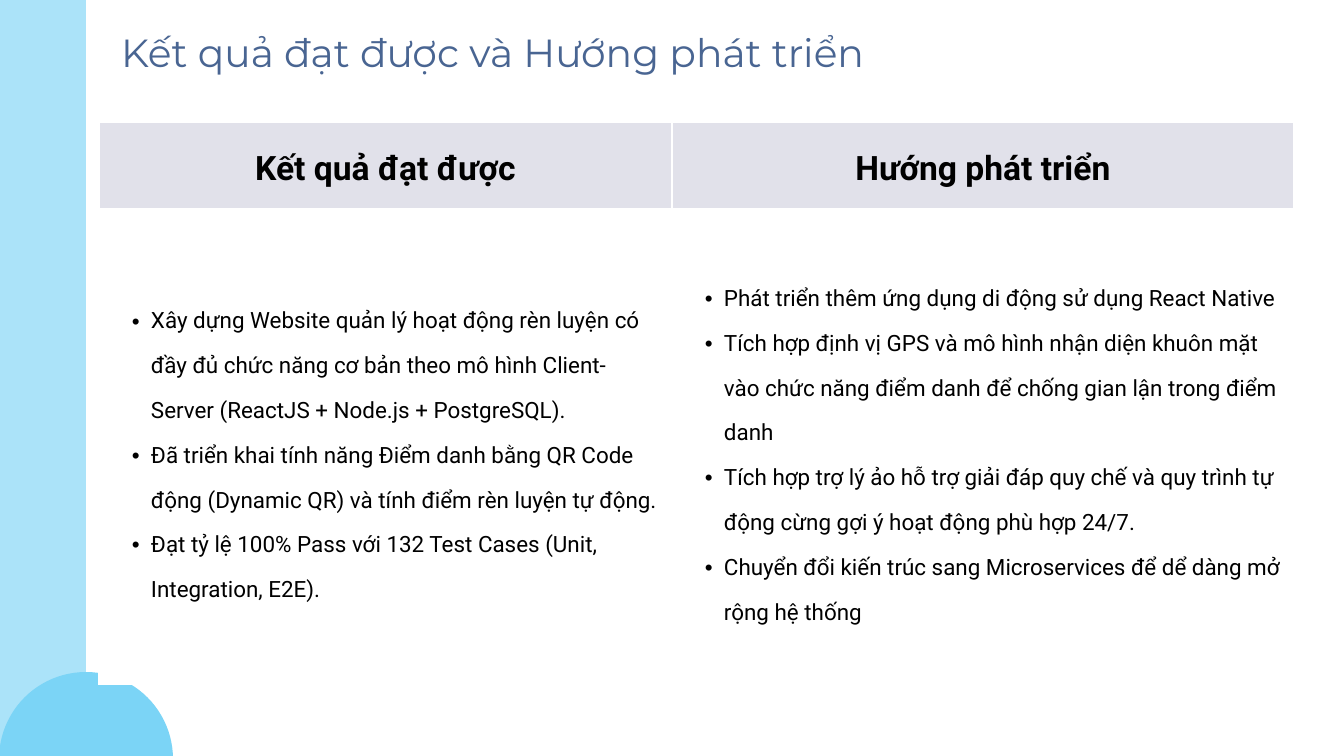
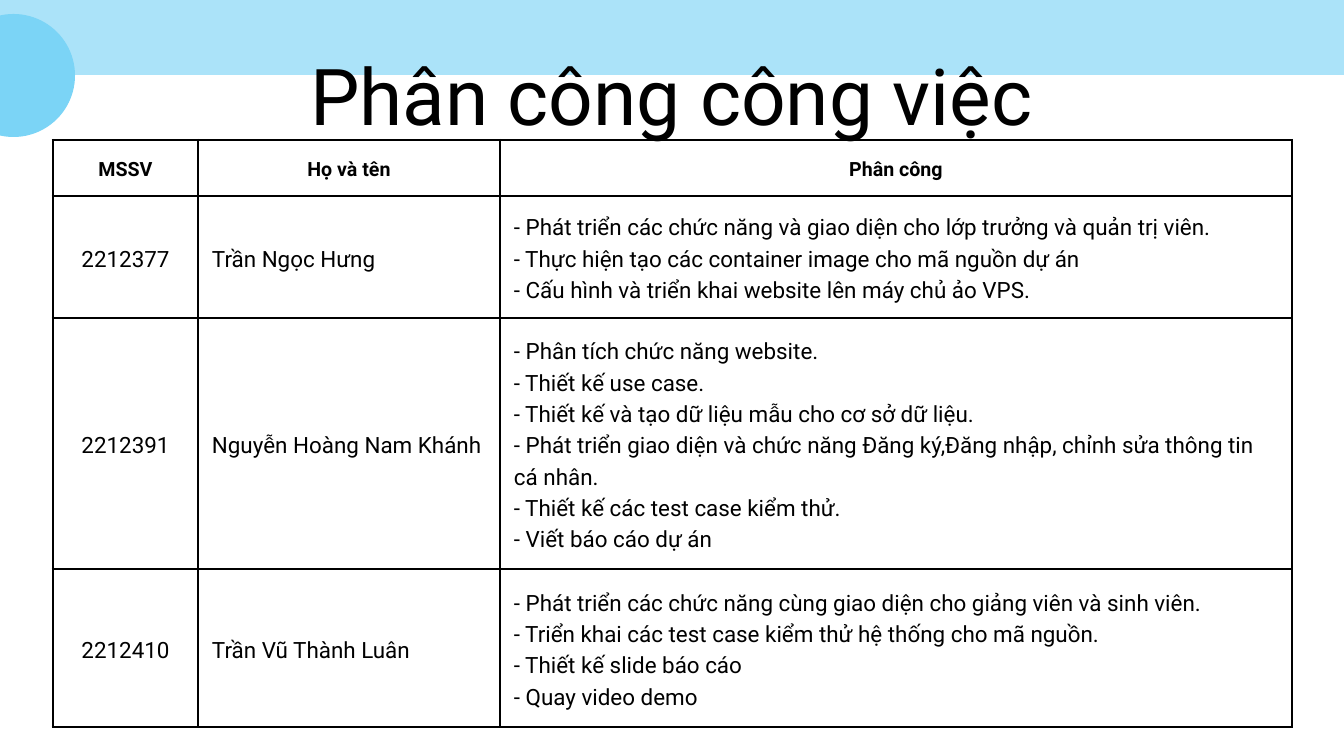
from lxml import etree
from pptx import Presentation
from pptx.dml.color import RGBColor
from pptx.enum.shapes import MSO_SHAPE
from pptx.enum.text import MSO_ANCHOR, MSO_AUTO_SIZE, PP_ALIGN
from pptx.oxml.ns import qn
from pptx.util import Emu, Pt

RECT, OVAL = MSO_SHAPE.RECTANGLE, MSO_SHAPE.OVAL
LEFT, MID = PP_ALIGN.LEFT, PP_ALIGN.CENTER
TOP, CENTRE = MSO_ANCHOR.TOP, MSO_ANCHOR.MIDDLE
GROW = MSO_AUTO_SIZE.SHAPE_TO_FIT_TEXT

SCALE = 914400 / 67.2
SIDES = "left", "right", "top", "bottom"
SKY, BLUE = "ABE3F9", "7BD4F6"
BLACK, WHITE, SLATE, MIST = "000000", "FFFFFF", "496592", "E1E1EA"
INSET = 14

# Text formats: alignment, line pitch in points and font values
BASE = dict(align=LEFT, font="Roboto", size=24, bold=False, color=BLACK, bullet=False)
TITLE = BASE | dict(font="Montserrat", size=42, pitch=46.2, color=SLATE)
BIG = BASE | dict(size=84, pitch=117.6, align=MID)
HEAD = BASE | dict(size=36, pitch=50.4, align=MID, bold=True)
POINT = BASE | dict(pitch=48, bullet=True)
LABEL = BASE | dict(size=21, pitch=29.4, align=MID, bold=True)
TEXT = BASE | dict(pitch=33.6)
CODE = TEXT | dict(align=MID)

RESULTS = [
    "Xây dựng Website quản lý hoạt động rèn luyện có đầy đủ chức năng cơ bản theo mô hình "
    "Client-Server (ReactJS + Node.js + PostgreSQL).",
    "Đã triển khai tính năng Điểm danh bằng QR Code động (Dynamic QR) và tính điểm rèn luyện "
    "tự động.",
    "Đạt tỷ lệ 100% Pass với 132 Test Cases (Unit, Integration, E2E).",
]
PLANS = [
    "Phát triển thêm ứng dụng di động sử dụng React Native",
    "Tích hợp định vị GPS và mô hình nhận diện khuôn mặt vào chức năng điểm danh để chống "
    "gian lận trong điểm danh",
    "Tích hợp trợ lý ảo hỗ trợ giải đáp quy chế và quy trình tự động cừng gợi ý hoạt động "
    "phù hợp 24/7.",
    "Chuyển đổi kiến trúc sang Microservices để dể dàng mở rộng hệ thống",
]
TASKS = [
    ("2212377", "Trần Ngọc Hưng", [
        "- Phát triển các chức năng và giao diện cho lớp trưởng và quản trị viên.",
        "- Thực hiện tạo các container image cho mã nguồn dự án",
        "- Cấu hình và triển khai website lên máy chủ ảo VPS.",
    ]),
    ("2212391", "Nguyễn Hoàng Nam Khánh", [
        "- Phân tích chức năng website.",
        "- Thiết kế use case.",
        "- Thiết kế và tạo dữ liệu mẫu cho cơ sở dữ liệu.",
        "- Phát triển giao diện và chức năng Đăng ký,Đăng nhập, chỉnh sửa thông tin cá nhân.",
        "- Thiết kế các test case kiểm thử.",
        "- Viết báo cáo dự án",
    ]),
    ("2212410", "Trần Vũ Thành Luân", [
        "- Phát triển các chức năng cùng giao diện cho giảng viên và sinh viên.",
        "- Triển khai các test case kiểm thử hệ thống cho mã nguồn.",
        "- Thiết kế slide báo cáo",
        "- Quay video demo",
    ]),
]


def px(num):
    return Emu(round(num * SCALE))


def rgb(code):
    return RGBColor.from_string(code)


def assign(item, **values):
    for name, value in values.items():
        setattr(item, name, value)


def set_bullet(para):
    props = para._p.get_or_add_pPr()
    for name, value in dict(marL=px(38), indent=px(-19), lvl=1).items():
        props.set(name, str(value))
    etree.SubElement(props, qn("a:buFont")).set("typeface", "Arial")
    etree.SubElement(props, qn("a:buChar")).set("char", "•")


def write(frame, lines, form):
    for i, line in enumerate(lines):
        para = frame.add_paragraph() if i else frame.paragraphs[0]
        if form["bullet"]:
            set_bullet(para)
        assign(para, alignment=form["align"], line_spacing=Pt(form["pitch"]),
               space_before=Pt(0), space_after=Pt(0))
        run = para.add_run()
        run.text = line
        assign(run.font, name=form["font"], size=Pt(form["size"]), bold=form["bold"])
        run.font.color.rgb = rgb(form["color"])


def add_title(slide, text, box, form):
    title = slide.shapes.title
    # Keep the title in front of the bands and the table
    title.element.getparent().append(title.element)
    assign(title, **dict(zip(("left", "top", "width", "height"), map(px, box))))
    frame = title.text_frame
    assign(frame, word_wrap=True, auto_size=GROW, vertical_anchor=TOP)
    assign(frame, **{f"margin_{side}": 0 for side in SIDES})
    write(frame, [text], form)


def add_block(slide, kind, box, color):
    shape = slide.shapes.add_shape(kind, *map(px, box))
    shape.shadow.inherit = False
    shape.fill.solid()
    shape.fill.fore_color.rgb = rgb(color)
    shape.line.fill.background()


def add_borders(cell, color):
    props = cell._tc.get_or_add_tcPr()
    for i, tag in enumerate(("a:lnL", "a:lnR", "a:lnT", "a:lnB")):
        line = etree.Element(qn(tag), w=str(Pt(3)))
        fill = etree.SubElement(line, qn("a:solidFill"))
        etree.SubElement(fill, qn("a:srgbClr")).set("val", color)
        props.insert(i, line)


def add_grid(slide, spot, cols, rows, cells, border, fills):
    """Each cell is (lines, format); each row has one fill, or None."""
    frame = slide.shapes.add_table(len(rows), len(cols), *map(px, (*spot, sum(cols), sum(rows))))
    table = frame.table
    assign(table, first_row=False, horz_banding=False)
    for col, width in zip(table.columns, cols):
        col.width = px(width)
    for r, (height, fill) in enumerate(zip(rows, fills)):
        table.rows[r].height = px(height)
        for c, (lines, form) in enumerate(cells[r]):
            cell = table.cell(r, c)
            assign(cell, vertical_anchor=CENTRE,
                   **{f"margin_{side}": px(INSET) for side in SIDES})
            add_borders(cell, border)
            if fill:
                cell.fill.solid()
                cell.fill.fore_color.rgb = rgb(fill)
            else:
                cell.fill.background()
            write(cell.text_frame, lines, form)


def add_slide(deck, band, disc):
    slide = deck.slides.add_slide(deck.slide_layouts[5])
    add_block(slide, RECT, band, SKY)
    add_block(slide, OVAL, disc, BLUE)
    return slide


def show_results(deck):
    slide = add_slide(deck, (-104, 0, 190, 756), (-1, 672, 174, 174))
    cells = [
        [(["Kết quả đạt được"], HEAD), (["Hướng phát triển"], HEAD)],
        [(RESULTS, POINT), (PLANS, POINT)],
    ]
    add_grid(slide, (99, 122), (573, 622), (87, 475), cells, WHITE, (MIST, WHITE))
    add_title(slide, "Kết quả đạt được và Hướng phát triển", (121, 32, 811, 44), TITLE)


def show_tasks(deck):
    slide = add_slide(deck, (-124, -126, 1493, 201), (-48, 14, 123, 123))
    cells = [[([name], LABEL) for name in ("MSSV", "Họ và tên", "Phân công")]]
    cells += [[([code], CODE), ([name], TEXT), (jobs, TEXT)] for code, name, jobs in TASKS]
    add_grid(slide, (53, 140), (145, 302, 792), (56, 122, 251, 158), cells, BLACK, [None] * 4)
    add_title(slide, "Phân công công việc", (298, 31, 747, 106), BIG)


def main():
    deck = Presentation()
    assign(deck, slide_width=px(1344), slide_height=px(756))
    show_results(deck)
    show_tasks(deck)
    deck.save("out.pptx")


if __name__ == "__main__":
    main()
